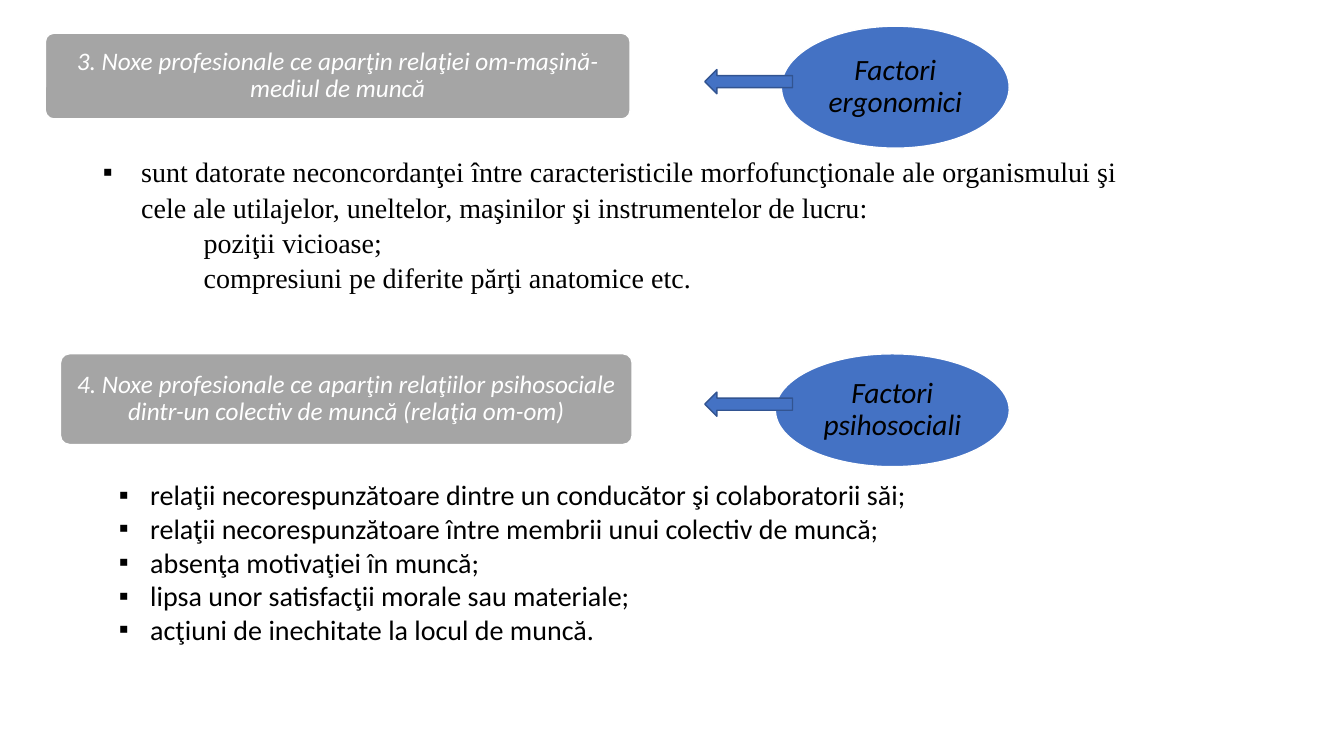
from lxml import etree
from pptx import Presentation
from pptx.dml.color import RGBColor
from pptx.enum.shapes import MSO_SHAPE
from pptx.enum.text import MSO_ANCHOR, MSO_AUTO_SIZE, PP_ALIGN
from pptx.oxml.ns import qn
from pptx.util import Inches, Pt

ROUNDED, OVAL, ARROW = MSO_SHAPE.ROUNDED_RECTANGLE, MSO_SHAPE.OVAL, MSO_SHAPE.LEFT_ARROW
MIDDLE, TOP = MSO_ANCHOR.MIDDLE, MSO_ANCHOR.TOP
CENTER, JUSTIFY = PP_ALIGN.CENTER, PP_ALIGN.JUSTIFY
GROW = MSO_AUTO_SIZE.SHAPE_TO_FIT_TEXT

# Content: one entry per section; list items are (text, has bullet)
COLORS = {"heading": "A5A5A5", "factor": "4472C4", "arrow_line": "325491",
          "white": "FFFFFF", "black": "000000"}
SECTIONS = [
    {"heading": "3. Noxe profesionale ce aparţin relaţiei om-maşină-mediul de muncă",
     "heading_at": (0.45, 0.33, 5.8, 0.85),
     "factor": "Factori ergonomici", "factor_at": (7.75, 0.26, 2.26, 1.21),
     "arrow_at": (6.99, 0.69, 0.87, 0.24),
     "list_at": (0.92, 1.47, 10.26, 1.45),
     "font": "Times New Roman", "spacing": 1.05, "hang": 0.38,
     "items": [
         ("sunt datorate neconcordanţei între caracteristicile morfofuncţionale ale "
          "organismului şi cele ale utilajelor, uneltelor, maşinilor şi "
          "instrumentelor de lucru:", True),
         ("poziţii vicioase;", False),
         ("compresiuni pe diferite părţi anatomice etc.", False)]},
    {"heading": "4. Noxe profesionale ce aparţin relaţiilor psihosociale "
                "dintr-un colectiv de muncă (relaţia om-om)",
     "heading_at": (0.6, 3.51, 5.67, 0.9),
     "factor": "Factori psihosociali", "factor_at": (7.69, 3.51, 2.32, 1.12),
     "arrow_at": (6.99, 3.89, 0.87, 0.24),
     "list_at": (1.08, 4.69, 9.79, 1.78),
     "font": "Calibri", "spacing": 1.0, "hang": 0.31,
     "items": [
         ("relaţii necorespunzătoare dintre un conducător şi colaboratorii săi;", True),
         ("relaţii necorespunzătoare între membrii unui colectiv de muncă;", True),
         ("absenţa motivaţiei în muncă;", True),
         ("lipsa unor satisfacţii morale sau materiale;", True),
         ("acţiuni de inechitate la locul de muncă.", True)]},
]
SUB_ITEM_INDENT = 1.0


def color(name):
    return RGBColor.from_string(COLORS[name])


def add_span(para, text, font, size, color_name, italic=False):
    span = para.add_run()
    span.text = text
    span.font.name = font
    span.font.size = Pt(size)
    span.font.italic = italic
    span.font.color.rgb = color(color_name)


def add_box(page, kind, at, fill, line):
    box = page.shapes.add_shape(kind, *map(Inches, at))
    box.shadow.inherit = False
    box.fill.solid()
    box.fill.fore_color.rgb = color(fill)
    box.line.color.rgb = color(line)
    box.line.width = Pt(1)
    return box


def add_label(box, text, size, color_name, inset):
    frame = box.text_frame
    frame.word_wrap = True
    frame.vertical_anchor = MIDDLE
    frame.margin_left = frame.margin_right = Inches(inset)
    frame.margin_top = frame.margin_bottom = Inches(inset)
    para = frame.paragraphs[0]
    para.alignment = CENTER
    para.line_spacing = 0.9
    add_span(para, text, "Calibri", size, color_name, italic=True)


def set_indent(para, bullet, hang):
    props = para._p.get_or_add_pPr()
    props.set("marL", str(Inches(hang if bullet else SUB_ITEM_INDENT)))
    props.set("indent", str(Inches(-hang if bullet else 0)))
    if bullet:
        etree.SubElement(props, qn("a:buChar")).set("char", "▪")
    else:
        etree.SubElement(props, qn("a:buNone"))


def fill_list(box, section):
    box.left, box.top, box.width, box.height = map(Inches, section["list_at"])
    frame = box.text_frame
    frame.word_wrap = True
    frame.auto_size = GROW
    frame.vertical_anchor = TOP
    for index, (text, bullet) in enumerate(section["items"]):
        para = frame.add_paragraph() if index else frame.paragraphs[0]
        para.alignment = JUSTIFY
        para.line_spacing = section["spacing"]
        para.space_before = para.space_after = Pt(0)
        set_indent(para, bullet, section["hang"])
        add_span(para, text, section["font"], 20, "black")


# Slide with two body placeholders and no title
deck = Presentation()
deck.slide_width, deck.slide_height = Inches(13.33), Inches(7.5)
page = deck.slides.add_slide(deck.slide_layouts[3])
title = page.shapes.title
title._element.getparent().remove(title._element)

# Heading, factor, arrow and list of each section
for section, body in zip(SECTIONS, list(page.placeholders)):
    heading = add_box(page, ROUNDED, section["heading_at"], "heading", "white")
    heading.adjustments[0] = 0.1
    add_label(heading, section["heading"], 18, "white", 0.01)
    factor = add_box(page, OVAL, section["factor_at"], "factor", "white")
    add_label(factor, section["factor"], 21, "black", 0.03)
    add_box(page, ARROW, section["arrow_at"], "factor", "arrow_line")
    fill_list(body, section)

deck.save("out.pptx")
